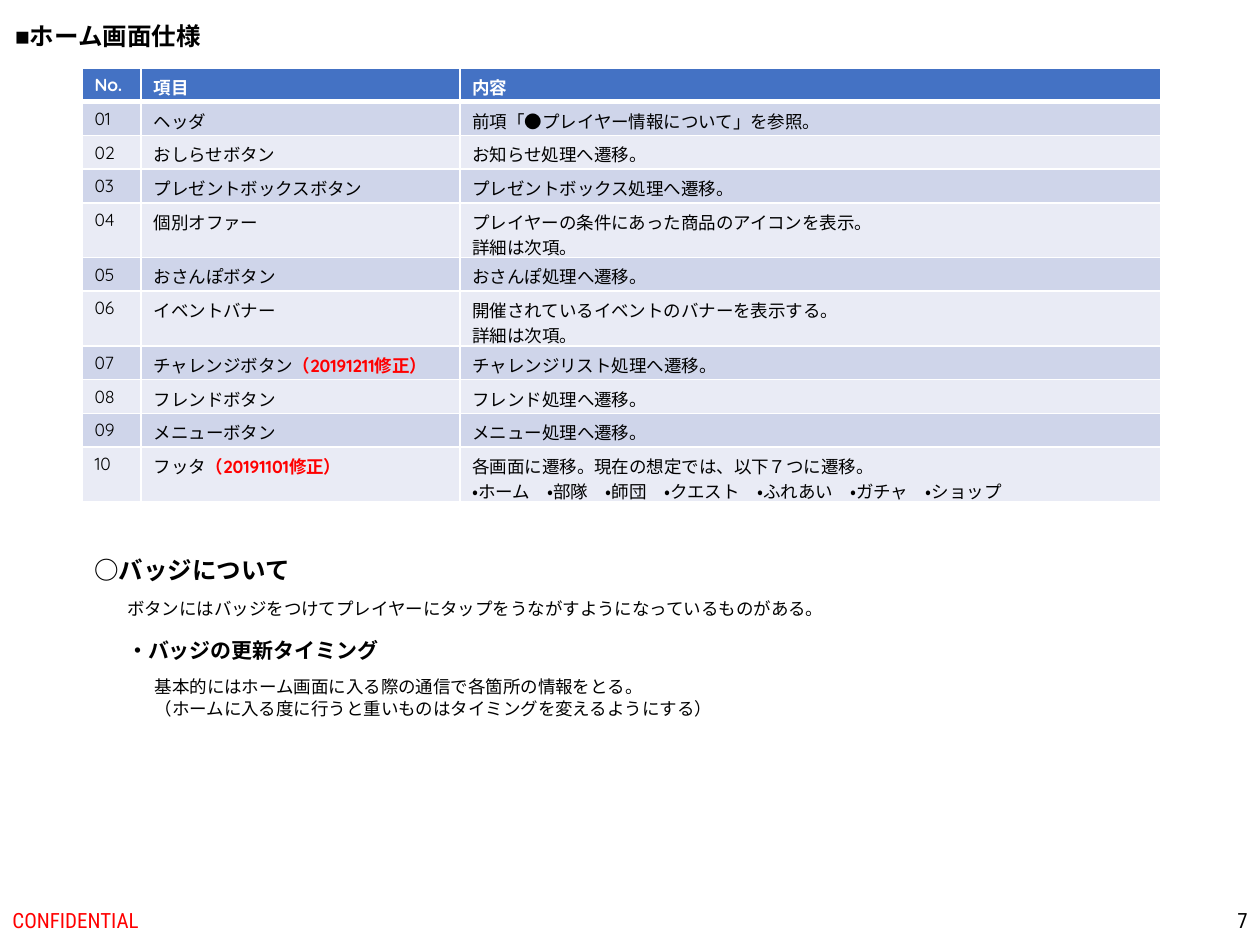
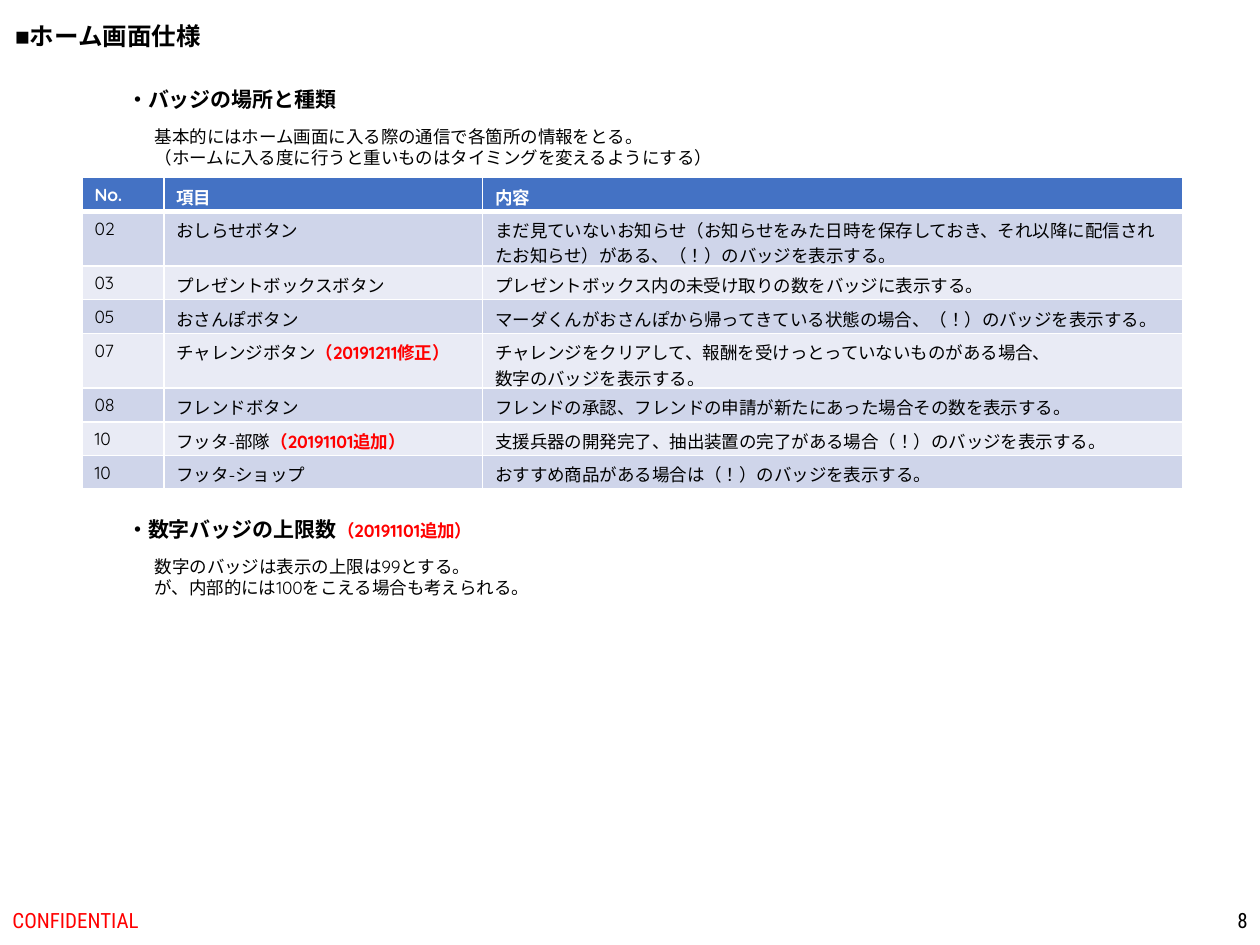
"""Build the two home screen specification slides."""
from math import ceil
from typing import NamedTuple

from pptx import Presentation
from pptx.dml.color import RGBColor
from pptx.enum.lang import MSO_LANGUAGE_ID
from pptx.enum.text import MSO_ANCHOR, MSO_AUTO_SIZE, PP_ALIGN
from pptx.oxml import parse_xml
from pptx.oxml.ns import nsdecls, qn
from pptx.util import Emu, Inches, Pt

SLIDE_WIDTH, SLIDE_HEIGHT = Inches(10), Inches(7.5)
COLUMN, ROW = SLIDE_WIDTH / 100, SLIDE_HEIGHT / 75
BLACK, WHITE, RED = "000000", "FFFFFF", "FF0000"
HEADER_FILL, BAND_FILLS = "4472C4", ("CFD5EA", "E9EBF5")
LINE_HEIGHT, ROW_PADDING = Pt(12), Pt(7.2)
LINE_CAPACITY = 38
ITEM_WIDTH, DETAIL_WIDTH = 25.3, 55.6
TITLE = "■ホーム画面仕様"
TABLE_HEADER = ("No.", "項目", "内容")
NOTE_MARK = "|"


class Style(NamedTuple):
    """Font settings of a paragraph; spread also covers East Asian text."""

    size: float
    name: str = "Quicksand"
    color: str = BLACK
    bold: bool = False
    spread: bool = True


class Area(NamedTuple):
    """Place of an object in grid columns and rows."""

    left: float
    top: float
    width: float
    height: float


class Label(NamedTuple):
    """Free text with its place and style."""

    area: Area
    text: str
    style: Style


class ItemTable(NamedTuple):
    """Numbered items with the place of the table."""

    left: float
    top: float
    number_width: float
    rows: tuple


class Page(NamedTuple):
    """Content of one slide."""

    number: int
    table: ItemTable
    labels: tuple


TITLE_STYLE = Style(14, "Arial", bold=True)
SECTION = Style(14, bold=True)
HEADING = Style(12, bold=True)
BODY = Style(10)
CELL = Style(10, spread=False)
CELL_HEADER = CELL._replace(color=WHITE, bold=True)
FOOTER = Style(12, "Roboto Condensed")
TITLE_AREA = Area(0.2, 1.2, 17.7, 3.4)
CONFIDENTIAL_AREA = Area(0, 71, 33.8, 4)
NUMBER_AREA = Area(77.5, 71, 22.5, 4)
HEADING_LEFT, BODY_LEFT = 9.1, 11.3
TIMING_TEXT = ("基本的にはホーム画面に入る際の通信で各箇所の情報をとる。\n"
               "（ホームに入る度に行うと重いものはタイミングを変えるようにする）")

PAGES = (
    Page(
        7,
        ItemTable(6.5, 5.4, 4.7, (
            ("01", "ヘッダ", "前項「●プレイヤー情報について」を参照。"),
            ("02", "おしらせボタン", "お知らせ処理へ遷移。"),
            ("03", "プレゼントボックスボタン", "プレゼントボックス処理へ遷移。"),
            ("04", "個別オファー",
             "プレイヤーの条件にあった商品のアイコンを表示。\n詳細は次項。"),
            ("05", "おさんぽボタン", "おさんぽ処理へ遷移。"),
            ("06", "イベントバナー",
             "開催されているイベントのバナーを表示する。\n詳細は次項。"),
            ("07", "チャレンジボタン|（20191211修正）", "チャレンジリスト処理へ遷移。"),
            ("08", "フレンドボタン", "フレンド処理へ遷移。"),
            ("09", "メニューボタン", "メニュー処理へ遷移。"),
            ("10", "フッタ|（20191101修正）",
             "各画面に遷移。現在の想定では、以下７つに遷移。\n"
             "・ホーム　・部隊　・師団　・クエスト　・ふれあい　・ガチャ　・ショップ"),
        )),
        (
            Label(Area(6.5, 43.6, 17.7, 3.4), "○バッジについて", SECTION),
            Label(Area(HEADING_LEFT, 47, 58.1, 2.7),
                  "ボタンにはバッジをつけてプレイヤーにタップをうながすようになっているものがある。",
                  BODY),
            Label(Area(HEADING_LEFT, 50.1, 22.2, 3), "・バッジの更新タイミング", HEADING),
            Label(Area(BODY_LEFT, 53.2, 46.9, 4.4), TIMING_TEXT, BODY),
        ),
    ),
    Page(
        8,
        ItemTable(6.5, 14.1, 6.5, (
            ("02", "おしらせボタン",
             "まだ見ていないお知らせ（お知らせをみた日時を保存しておき、"
             "それ以降に配信されたお知らせ）がある、（！）のバッジを表示する。"),
            ("03", "プレゼントボックスボタン",
             "プレゼントボックス内の未受け取りの数をバッジに表示する。"),
            ("05", "おさんぽボタン",
             "マーダくんがおさんぽから帰ってきている状態の場合、（！）のバッジを表示する。"),
            ("07", "チャレンジボタン|（20191211修正）",
             "チャレンジをクリアして、報酬を受けっとっていないものがある場合、\n"
             "数字のバッジを表示する。"),
            ("08", "フレンドボタン",
             "フレンドの承認、フレンドの申請が新たにあった場合その数を表示する。"),
            ("10", "フッタ-部隊|（20191101追加）",
             "支援兵器の開発完了、抽出装置の完了がある場合（！）のバッジを表示する。"),
            ("10", "フッタ-ショップ", "おすすめ商品がある場合は（！）のバッジを表示する。"),
        )),
        (
            Label(Area(HEADING_LEFT, 6.4, 18.8, 3), "・バッジの場所と種類", HEADING),
            Label(Area(BODY_LEFT, 9.5, 46.9, 4.4), TIMING_TEXT, BODY),
            Label(Area(HEADING_LEFT, 40.5, 30.8, 3),
                  "・数字バッジの上限数|（20191101追加）", HEADING),
            Label(Area(BODY_LEFT, 43.6, 32.4, 4.4),
                  "数字のバッジは表示の上限は99とする。\n"
                  "が、内部的には100をこえる場合も考えられる。", BODY),
        ),
    ),
)


def rgb(color: str) -> RGBColor:
    """Turn a hex string into a colour."""
    return RGBColor.from_string(color)


def place(area: Area) -> tuple:
    """Turn a grid area into left, top, width and height."""
    return (Emu(round(area.left * COLUMN)), Emu(round(area.top * ROW)),
            Emu(round(area.width * COLUMN)), Emu(round(area.height * ROW)))


def count_lines(text: str) -> int:
    """Count the lines a cell text takes, wrapped ones included."""
    return sum(ceil(len(line) / LINE_CAPACITY) for line in text.split("\n"))


def format_paragraph(para, style: Style) -> None:
    """Apply a style to a whole paragraph."""
    font = para.font
    font.size, font.name, font.bold = Pt(style.size), style.name, style.bold
    font.language_id = MSO_LANGUAGE_ID.JAPANESE
    font.color.rgb = rgb(style.color)
    if style.spread:
        latin = para._p.pPr.find(qn("a:defRPr")).find(qn("a:latin"))
        latin.addnext(parse_xml(f'<a:ea {nsdecls("a")} typeface="{style.name}"/>'))


def write(frame, text: str, style: Style, align=PP_ALIGN.LEFT) -> None:
    """Write lines of text, each with an optional red note after the mark."""
    for index, line in enumerate(text.split("\n")):
        para = frame.add_paragraph() if index else frame.paragraphs[0]
        para.alignment = align
        format_paragraph(para, style)
        main_text, _, note = line.partition(NOTE_MARK)
        para.add_run().text = main_text
        if note:
            span = para.add_run()
            span.text = note
            span.font.size, span.font.bold = Pt(BODY.size), True
            span.font.color.rgb = rgb(RED)


def add_label(page, label: Label) -> None:
    """Add a text box that fits its text."""
    frame = page.shapes.add_textbox(*place(label.area)).text_frame
    frame.word_wrap = False
    frame.auto_size = MSO_AUTO_SIZE.SHAPE_TO_FIT_TEXT
    write(frame, label.text, label.style)


def add_footer(page, area: Area, text: str, color: str, align) -> None:
    """Add one footer text, centred vertically."""
    frame = page.shapes.add_textbox(*place(area)).text_frame
    frame.word_wrap = True
    frame.vertical_anchor = MSO_ANCHOR.MIDDLE
    write(frame, text, FOOTER._replace(color=color), align)


def set_title(page) -> None:
    """Move and format the title placeholder."""
    title = page.shapes.title
    title.left, title.top, title.width, title.height = place(TITLE_AREA)
    frame = title.text_frame
    frame.word_wrap = False
    frame.auto_size = MSO_AUTO_SIZE.SHAPE_TO_FIT_TEXT
    frame.vertical_anchor = MSO_ANCHOR.TOP
    write(frame, TITLE, TITLE_STYLE)


def add_borders(cell, bottom: float) -> None:
    """Draw white borders around a cell."""
    properties = cell._tc.get_or_add_tcPr()
    for index, (side, width) in enumerate(zip("LRTB", (1, 1, 1, bottom))):
        properties.insert(index, parse_xml(
            f'<a:ln{side} {nsdecls("a")} w="{Pt(width)}"><a:solidFill>'
            f'<a:srgbClr val="{WHITE}"/></a:solidFill></a:ln{side}>'))


def add_item_table(page, items: ItemTable) -> None:
    """Add a table with a header and banded rows."""
    widths = (items.number_width, ITEM_WIDTH, DETAIL_WIDTH)
    rows = (TABLE_HEADER, *items.rows)
    area = Area(items.left, items.top, sum(widths), len(rows))
    table = page.shapes.add_table(len(rows), len(widths), *place(area)).table
    table.first_row = table.horz_banding = False
    for column, width in zip(table.columns, widths):
        column.width = Emu(round(width * COLUMN))
    for index, texts in enumerate(rows):
        lines = max(map(count_lines, texts))
        table.rows[index].height = Emu(lines * LINE_HEIGHT + ROW_PADDING)
        for cell, text in zip(table.rows[index].cells, texts):
            cell.fill.solid()
            cell.fill.fore_color.rgb = rgb(BAND_FILLS[(index - 1) % 2] if index else HEADER_FILL)
            add_borders(cell, 1 if index else 3)
            write(cell.text_frame, text, CELL if index else CELL_HEADER)


def main() -> None:
    """Build and save the deck."""
    deck = Presentation()
    deck.slide_width, deck.slide_height = SLIDE_WIDTH, SLIDE_HEIGHT
    for content in PAGES:
        page = deck.slides.add_slide(deck.slide_layouts[5])
        set_title(page)
        add_footer(page, CONFIDENTIAL_AREA, "CONFIDENTIAL", RED, PP_ALIGN.LEFT)
        add_footer(page, NUMBER_AREA, str(content.number), BLACK, PP_ALIGN.RIGHT)
        add_item_table(page, content.table)
        for label in content.labels:
            add_label(page, label)
    deck.save("out.pptx")


if __name__ == "__main__":
    main()
